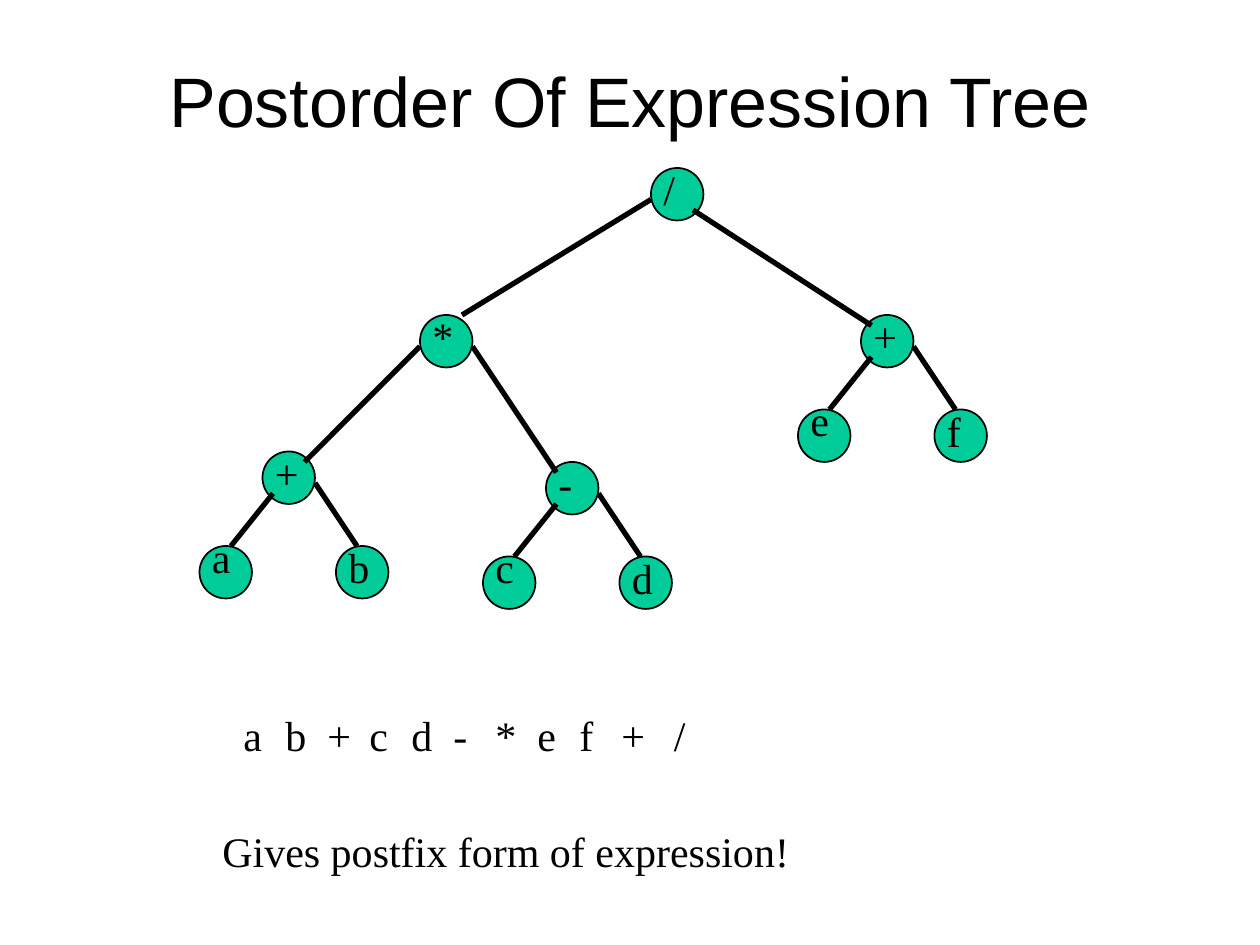
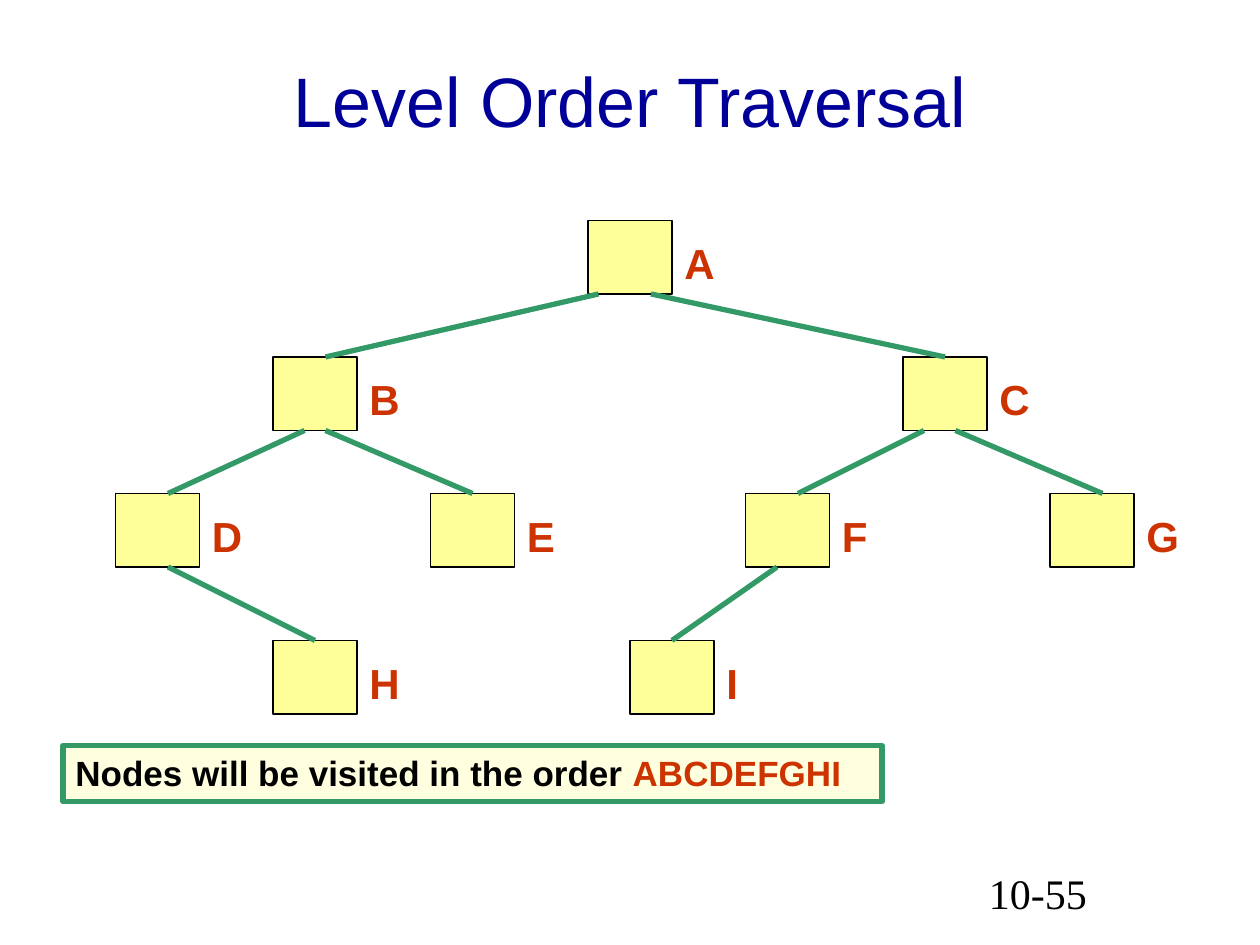
from pptx import Presentation
from pptx.dml.color import RGBColor
from pptx.enum.shapes import MSO_CONNECTOR, MSO_SHAPE
from pptx.enum.text import MSO_ANCHOR, PP_ALIGN
from pptx.oxml.ns import qn
from pptx.util import Pt

STRAIGHT = MSO_CONNECTOR.STRAIGHT
OVAL, RECTANGLE = MSO_SHAPE.OVAL, MSO_SHAPE.RECTANGLE
MIDDLE, CENTER = MSO_ANCHOR.MIDDLE, PP_ALIGN.CENTER

BLACK = RGBColor(0x00, 0x00, 0x00)
NAVY = RGBColor(0x00, 0x00, 0x99)
TEAL = RGBColor(0x00, 0xCC, 0x99)
GREEN = RGBColor(0x33, 0x99, 0x66)
YELLOW = RGBColor(0xFF, 0xFF, 0x99)
CREAM = RGBColor(0xFF, 0xFF, 0xDF)
RED = RGBColor(0xCC, 0x33, 0x00)

SANS, SERIF = "Arial", "Times New Roman"
TITLE_BOX = (54, 12, 612, 90)
TITLE_SIZE, TEXT_SIZE = 40, 24
EDGE_WIDTH = 3


def add_text(slide, text, left, top, width, height, font=SERIF,
             size=TEXT_SIZE, color=BLACK, bold=False):
    """Add a one-paragraph text box and return it."""
    box = slide.shapes.add_textbox(Pt(left), Pt(top), Pt(width), Pt(height))
    box.text_frame.word_wrap = True
    paragraph = box.text_frame.paragraphs[0]
    paragraph.text = text
    paragraph.font.name = font
    paragraph.font.size = Pt(size)
    paragraph.font.bold = bold
    paragraph.font.color.rgb = color
    return box


def add_edge(slide, x1, y1, x2, y2, color):
    edge = slide.shapes.add_connector(STRAIGHT, Pt(x1), Pt(y1), Pt(x2), Pt(y2))
    edge.line.color.rgb = color
    edge.line.width = Pt(EDGE_WIDTH)
    properties = edge._element.spPr
    properties.append(properties.makeelement(qn("a:effectLst"), {}))
    return edge


presentation = Presentation()
presentation.slide_width, presentation.slide_height = Pt(720), Pt(540)
blank_layout = presentation.slide_layouts[6]

slides = []
for title, color in [("Postorder Of Expression Tree", BLACK),
                     ("Level Order Traversal", NAVY)]:
    slide = presentation.slides.add_slide(blank_layout)
    title_box = add_text(slide, title, *TITLE_BOX, font=SANS,
                         size=TITLE_SIZE, color=color)
    title_box.text_frame.vertical_anchor = MIDDLE
    title_box.text_frame.paragraphs[0].alignment = CENTER
    slides.append(slide)
expression_slide, level_slide = slides

# Slide 1: expression tree; each node is symbol, left, top, rise of its label
DIAMETER, LABEL_HEIGHT = 30, 36
expression_nodes = [("*", 240, 180, 6), ("/", 372, 96, 6)]
expression_edges = [(240, 198, 174, 264), (270, 198, 318, 270),
                    (372, 114, 264, 180), (396, 120, 498, 186)]

# Operators with two operands below them share one subtree layout
for operator, left_operand, right_operand, x, y in [
        ("+", "a", "b", 150, 258), ("-", "c", "d", 312, 264),
        ("+", "e", "f", 492, 180)]:
    expression_nodes += [(operator, x, y, 6),
                         (left_operand, x - 36, y + 54, 12),
                         (right_operand, x + 42, y + 54, 6)]
    expression_edges += [(x + 6, y + 24, x - 18, y + 54),
                         (x + 30, y + 18, x + 54, y + 54)]

for symbol, x, y, rise in expression_nodes:
    circle = expression_slide.shapes.add_shape(
        OVAL, Pt(x), Pt(y), Pt(DIAMETER), Pt(DIAMETER))
    circle.shadow.inherit = False
    circle.fill.solid()
    circle.fill.fore_color.rgb = TEAL
    circle.line.color.rgb = BLACK
    circle.line.width = Pt(1)
    add_text(expression_slide, symbol, x, y - rise, DIAMETER, LABEL_HEIGHT)

for ends in expression_edges:
    add_edge(expression_slide, *ends, BLACK)

add_text(expression_slide, "Gives postfix form of expression!",
         120, 468, 462, LABEL_HEIGHT)
*postfix_symbols, root_symbol = "ab+cd-*ef+/"
for index, symbol in enumerate(postfix_symbols):
    add_text(expression_slide, symbol, 132 + 24 * index, 402,
             DIAMETER, LABEL_HEIGHT)
add_text(expression_slide, root_symbol, 378, 402, DIAMETER, LABEL_HEIGHT)

# Slide 2: level-order tree; each node is name, left, top, label width
NODE_WIDTH, NODE_HEIGHT = 48, 42
level_nodes = [
    ("A", 336, 126, 96),
    ("B", 156, 204, 120), ("C", 516, 204, 114),
    ("D", 66, 282, 96), ("E", 246, 282, 102),
    ("F", 426, 282, 108), ("G", 600, 282, 42),
    ("H", 156, 366, 96), ("I", 360, 366, 96),
]
# Parent, x on its bottom side, child, x on its top side
level_edges = [
    ("A", 342, "B", 186), ("A", 372, "C", 540),
    ("B", 174, "D", 96), ("B", 186, "E", 270),
    ("C", 528, "F", 456), ("C", 546, "G", 630),
    ("D", 96, "H", 180), ("F", 444, "I", 384),
]

add_text(level_slide, "10-55", 558, 492, 150, LABEL_HEIGHT)

squares = {}
tops = {}
for name, x, y, label_width in level_nodes:
    square = level_slide.shapes.add_shape(
        RECTANGLE, Pt(x), Pt(y), Pt(NODE_WIDTH), Pt(NODE_HEIGHT))
    square.shadow.inherit = False
    square.fill.solid()
    square.fill.fore_color.rgb = YELLOW
    square.line.color.rgb = BLACK
    square.line.width = Pt(0.75)
    squares[name] = square
    tops[name] = y

for parent, start_x, child, end_x in level_edges:
    edge = add_edge(level_slide, start_x, tops[parent] + NODE_HEIGHT,
                    end_x, tops[child], GREEN)
    if squares[child].left + squares[child].width // 2 == Pt(end_x):
        edge.end_connect(squares[child], 0)

for name, x, y, label_width in level_nodes:
    add_text(level_slide, name, x + NODE_WIDTH, y + 6, label_width,
             LABEL_HEIGHT, font=SANS, color=RED, bold=True)

order_box = add_text(level_slide, "Nodes will be visited in the order ",
                     36, 426, 468, 32, font=SANS, size=20, bold=True)
order_box.fill.solid()
order_box.fill.fore_color.rgb = CREAM
order_box.line.color.rgb = GREEN
order_box.line.width = Pt(EDGE_WIDTH)
visit_order = order_box.text_frame.paragraphs[0].add_run()
visit_order.text = "ABCDEFGHI"
visit_order.font.color.rgb = RED

presentation.save("out.pptx")
